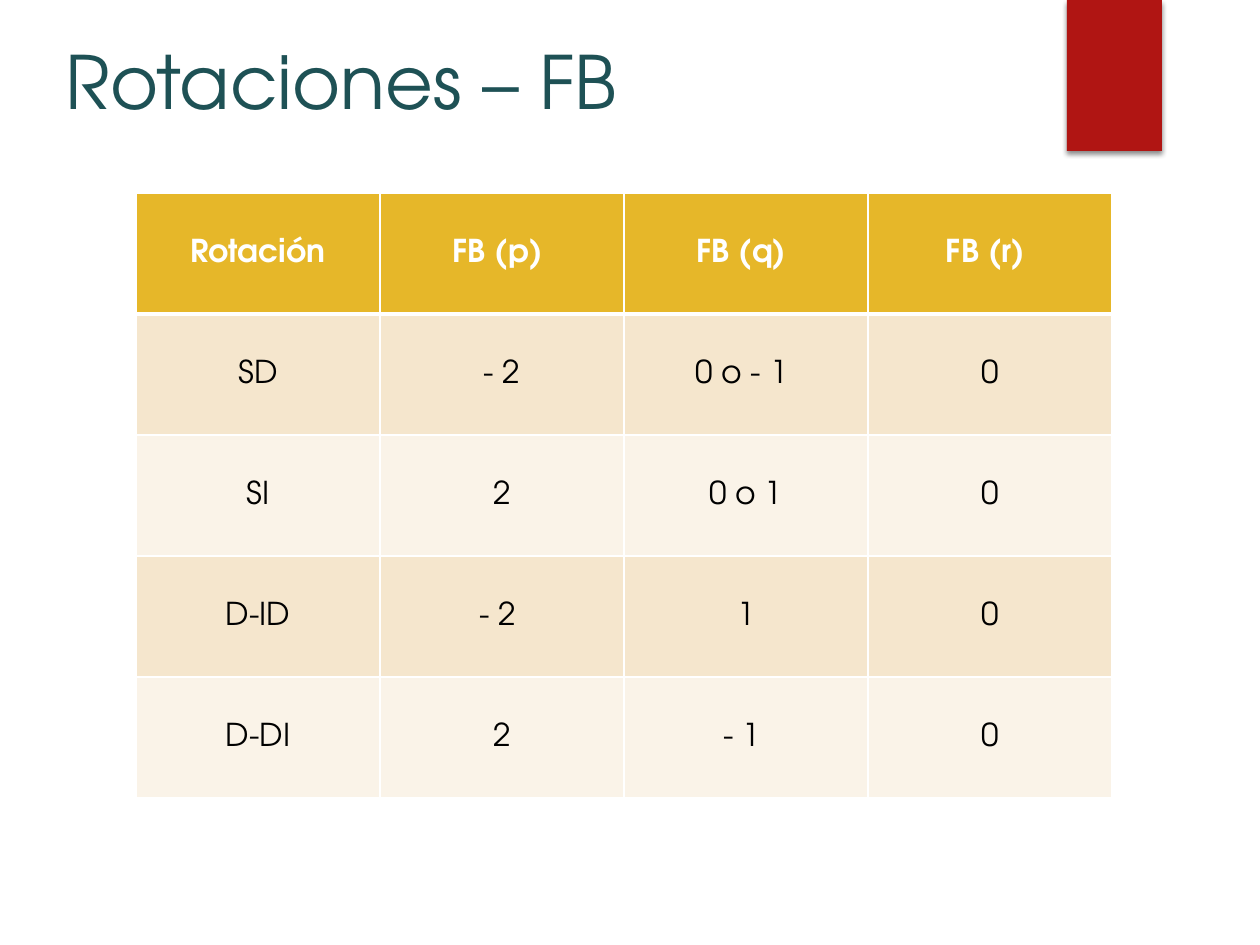
from typing import NamedTuple

from lxml.etree import SubElement
from pptx import Presentation
from pptx.dml.color import RGBColor
from pptx.enum.shapes import MSO_SHAPE
from pptx.enum.text import MSO_ANCHOR, PP_ALIGN
from pptx.oxml.ns import qn
from pptx.util import Emu, Pt

PX = 914400 / 126
FONT = "TeX Gyre Adventor"
COLORS = {
    "red": "B01513",
    "title": "1E5155",
    "header": "E6B729",
    "band_dark": "F5E6CD",
    "band_light": "FAF3E8",
    "white": "FFFFFF",
    "black": "000000",
}


class Box(NamedTuple):
    left: int
    top: int
    width: int
    height: int


class Row(NamedTuple):
    texts: tuple[str, ...]
    fill: str
    color: str = "black"
    bold: bool = False
    bottom: int = 1


TITLE = Box(53, 30, 1134, 165)
RIBBON = Box(1067, 0, 95, 151)
TABLE = Box(136, 193, 976, 605)
ROWS = [
    Row(("Rotación", "FB (p) ", "FB (q) ", "FB (r) "), "header", "white", True, 3),
    Row(("SD", "- 2", "0 o - 1 ", "0"), "band_dark"),
    Row(("SI", "2", "0 o 1", "0"), "band_light"),
    Row(("D-ID", "- 2 ", "1", "0"), "band_dark"),
    Row(("D-DI", "2", "- 1 ", "0"), "band_light"),
]


def px(n: int) -> Emu:
    return Emu(round(n * PX))


def rgb(name: str) -> RGBColor:
    return RGBColor.from_string(COLORS[name])


def style(p, size: int, color: str, bold: bool = False) -> None:
    p.font.name = FONT
    p.font.size = Pt(size)
    p.font.bold = bold
    p.font.color.rgb = rgb(color)


def add_ribbon(slide, box: Box) -> None:
    s = slide.shapes.add_shape(MSO_SHAPE.RECTANGLE, *map(px, box))
    s.fill.solid()
    s.fill.fore_color.rgb = rgb("red")
    s.line.fill.background()
    s.shadow.inherit = False
    # Soft shadow straight down
    effects = s._element.spPr.find(qn("a:effectLst"))
    shadow = SubElement(effects, qn("a:outerShdw"), blurRad=str(Pt(3)),
                        dist=str(Pt(2)), dir="5400000", rotWithShape="0")
    color = SubElement(shadow, qn("a:srgbClr"), val=COLORS["black"])
    SubElement(color, qn("a:alpha"), val="45000")
    # Behind the title
    slide.shapes._spTree.insert(2, s._element)


def set_title(slide, box: Box, text: str) -> None:
    s = slide.shapes.title
    s.left, s.top, s.width, s.height = map(px, box)
    tf = s.text_frame
    tf.text = text
    tf.word_wrap = True
    tf.vertical_anchor = MSO_ANCHOR.TOP
    p = tf.paragraphs[0]
    p.alignment = PP_ALIGN.LEFT
    style(p, 42, "title")


def set_borders(cell, top: int, bottom: int) -> None:
    tc_pr = cell._tc.get_or_add_tcPr()
    widths = {"lnL": 1, "lnR": 1, "lnT": top, "lnB": bottom}
    for i, (side, width) in enumerate(widths.items()):
        line = tc_pr.makeelement(qn(f"a:{side}"), {"w": str(Pt(width))})
        fill = SubElement(line, qn("a:solidFill"))
        SubElement(fill, qn("a:srgbClr"), val=COLORS["white"])
        tc_pr.insert(i, line)


def fill_cell(cell, text: str, row: Row, top: int) -> None:
    cell.fill.solid()
    cell.fill.fore_color.rgb = rgb(row.fill)
    cell.vertical_anchor = MSO_ANCHOR.MIDDLE
    cell.text = text
    p = cell.text_frame.paragraphs[0]
    p.alignment = PP_ALIGN.CENTER
    style(p, 18, row.color, row.bold)
    set_borders(cell, top, row.bottom)


def add_rotation_table(slide, box: Box, rows: list[Row]) -> None:
    table = slide.shapes.add_table(len(rows), len(rows[0].texts), *map(px, box)).table
    top = 1
    for r, row in enumerate(rows):
        for c, text in enumerate(row.texts):
            fill_cell(table.cell(r, c), text, row, top)
        top = row.bottom


def main() -> None:
    prs = Presentation()
    prs.slide_width, prs.slide_height = px(1260), px(945)
    slide = prs.slides.add_slide(prs.slide_layouts[5])  # title only
    add_ribbon(slide, RIBBON)
    set_title(slide, TITLE, "Rotaciones – FB")
    add_rotation_table(slide, TABLE, ROWS)
    prs.save("out.pptx")


if __name__ == "__main__":
    main()
